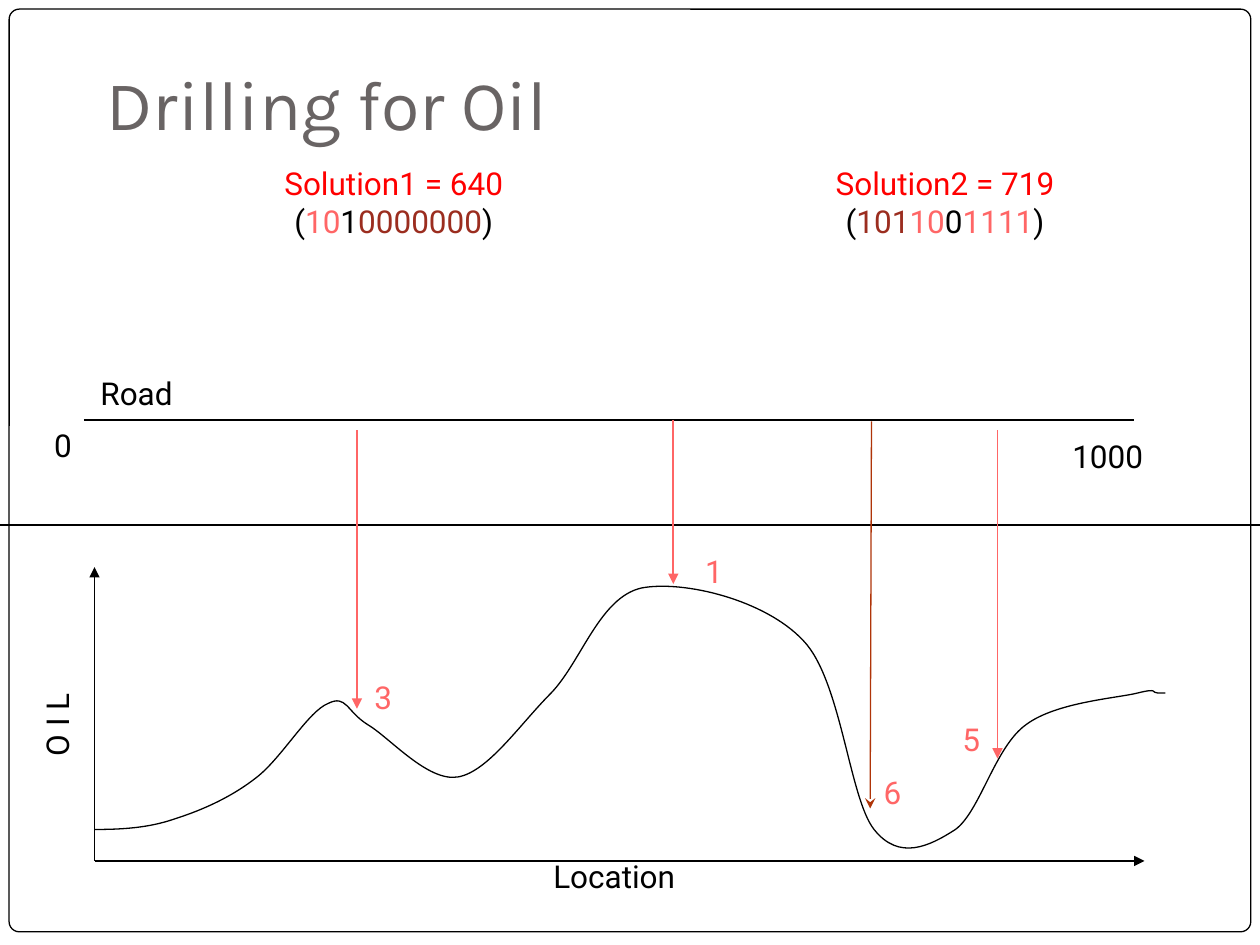
from dataclasses import dataclass

import lxml.etree
import pptx
import pptx.dml.color
import pptx.enum.shapes
import pptx.enum.text
import pptx.oxml.ns
import pptx.util

PX = 9525
BLACK, WHITE, RED = "000000", "FFFFFF", "FF0000"
CORAL, BRICK, RUST, GREY = "FF6666", "9B2D1F", "AF3408", "696464"


@dataclass
class Label:
    left: int
    top: int
    width: int
    height: int
    runs: list[tuple[str, str]]
    rotation: int = 0


@dataclass
class Line:
    start: tuple[int, int]
    end: tuple[int, int]
    color: str = BLACK
    weight: float = 0.75
    head: str = ""


LABELS = [
    Label(24, 320, 48, 48, [("0", BLACK)]),
    Label(792, 328, 104, 48, [("1000", BLACK)]),
    Label(16, 280, 176, 48, [("Road", BLACK)]),
    Label(560, 120, 320, 68, [
        ("Solution2 = 719 ", RED), ("(", BLACK), ("101", BRICK), ("10", CORAL),
        ("0", BLACK), ("1111", CORAL), (")", BLACK)]),
    Label(160, 120, 280, 68, [
        ("Solution1 = 640 ", RED), ("(", BLACK), ("10", CORAL), ("1", BLACK),
        ("0000000", BRICK), (")", BLACK)]),
    Label(-8, 528, 112, 48, [("O I L", BLACK)], 270),
    Label(320, 648, 296, 48, [("Location", BLACK)]),
]

WELL_LABELS = [
    Label(248, 512, 88, 48, [("3", CORAL)]),
    Label(696, 544, 88, 48, [("5", CORAL)]),
    Label(520, 416, 48, 38, [("1", CORAL)]),
    Label(656, 584, 48, 38, [("6", CORAL)]),
]

AXES = [
    Line((64, 320), (864, 320)),
    Line((72, 656), (72, 432), head="triangle"),
    Line((72, 656), (872, 656), head="triangle"),
    Line((0, 400), (960, 400)),
]

WELLS = [
    Line((272, 328), (272, 540), CORAL, 1, "triangle"),
    Line((760, 328), (760, 578), CORAL, 1, "triangle"),
    Line((513, 320), (513, 445), CORAL, 1, "triangle"),
    Line((664, 321), (663, 616), RUST, 0.75, "stealth"),
]

OIL_START = (72, 632)
OIL_CURVES = [
    ((92, 632), (113, 631), (133, 624)),
    ((155, 617), (177, 607), (196, 592)),
    ((215, 577), (235, 542), (250, 536)),
    ((264, 529), (264, 542), (280, 552)),
    ((297, 562), (326, 596), (349, 592)),
    ((372, 588), (396, 552), (420, 528)),
    ((443, 504), (457, 455), (489, 448)),
    ((521, 442), (583, 457), (612, 488)),
    ((641, 518), (647, 608), (666, 632)),
    ((685, 656), (708, 645), (728, 632)),
    ((747, 618), (758, 569), (782, 552)),
    ((805, 535), (851, 532), (867, 528)),
    ((883, 524), (877, 528), (882, 528)),
    ((887, 528), (893, 528), (898, 528)),
    ((902, 528), (909, 531), (913, 528)),
    ((917, 525), (944, 640), (921, 512)),
]


def rgb(color: str) -> pptx.dml.color.RGBColor:
    return pptx.dml.color.RGBColor.from_string(color)


def style_line(line, color: str, weight: float) -> None:
    line.color.rgb = rgb(color)
    line.width = pptx.util.Pt(weight)


def add_text(page, label: Label, font: str = "Roboto", size: int = 18):
    box = page.shapes.add_textbox(
        label.left * PX, label.top * PX, label.width * PX, label.height * PX)
    box.rotation = label.rotation
    box.text_frame.word_wrap = True
    box.text_frame.auto_size = pptx.enum.text.MSO_AUTO_SIZE.SHAPE_TO_FIT_TEXT
    para = box.text_frame.paragraphs[0]
    para.alignment = pptx.enum.text.PP_ALIGN.CENTER
    for text, color in label.runs:
        span = para.add_run()
        span.text = text
        span.font.name = font
        span.font.size = pptx.util.Pt(size)
        span.font.color.rgb = rgb(color)
    return box


def add_title(page) -> None:
    box = add_text(page, Label(72, 24, 816, 96, [("Drilling for Oil", GREY)]), "Karla", 40)
    box.text_frame.auto_size = pptx.enum.text.MSO_AUTO_SIZE.NONE
    box.text_frame.vertical_anchor = pptx.enum.text.MSO_ANCHOR.BOTTOM
    box.text_frame.margin_bottom = pptx.util.Inches(0.1)
    box.text_frame.paragraphs[0].alignment = pptx.enum.text.PP_ALIGN.LEFT


def add_line(page, line: Line) -> None:
    connector = page.shapes.add_connector(
        pptx.enum.shapes.MSO_CONNECTOR.STRAIGHT,
        *(value * PX for value in line.start + line.end))
    style_line(connector.line, line.color, line.weight)
    if line.head:
        lxml.etree.SubElement(
            connector.line._get_or_add_ln(), pptx.oxml.ns.qn("a:tailEnd"), type=line.head)
    lxml.etree.SubElement(connector._element.spPr, pptx.oxml.ns.qn("a:effectLst"))


def add_panel(page, kind, left: int, top: int, width: int, height: int):
    panel = page.shapes.add_shape(kind, left * PX, top * PX, width * PX, height * PX)
    panel.shadow.inherit = False
    panel.fill.solid()
    panel.fill.fore_color.rgb = rgb(WHITE)
    panel.line.fill.background()
    return panel


def add_frame(page) -> None:
    frame = add_panel(page, pptx.enum.shapes.MSO_SHAPE.ROUNDED_RECTANGLE, 7, 7, 946, 703)
    frame.adjustments[0] = 0.011
    style_line(frame.line, BLACK, 0.75)


def bend_segments(curve) -> None:
    segments = list(curve._element.iter(pptx.oxml.ns.qn("a:lnTo")))
    for first in range(0, len(segments), 3):
        bend = lxml.etree.Element(pptx.oxml.ns.qn("a:cubicBezTo"))
        segments[first].addprevious(bend)
        for segment in segments[first:first + 3]:
            bend.append(segment[0])
            segment.getparent().remove(segment)


def add_oil_curve(page) -> None:
    builder = page.shapes.build_freeform(*OIL_START, scale=PX)
    builder.add_line_segments(
        [point for bend in OIL_CURVES for point in bend], close=False)
    curve = builder.convert_to_shape()
    bend_segments(curve)
    curve.shadow.inherit = False
    curve.fill.background()
    style_line(curve.line, BLACK, 0.75)
    add_panel(page, pptx.enum.shapes.MSO_SHAPE.RECTANGLE, 888, 488, 56, 112)


def main() -> None:
    deck = pptx.Presentation()
    deck.slide_width, deck.slide_height = 960 * PX, 720 * PX
    page = deck.slides.add_slide(deck.slide_layouts[6])
    add_frame(page)
    add_title(page)
    for label in LABELS:
        add_text(page, label)
    for axis in AXES:
        add_line(page, axis)
    add_oil_curve(page)
    for label in WELL_LABELS:
        add_text(page, label)
    for well in WELLS:
        add_line(page, well)
    deck.save("out.pptx")


if __name__ == "__main__":
    main()
